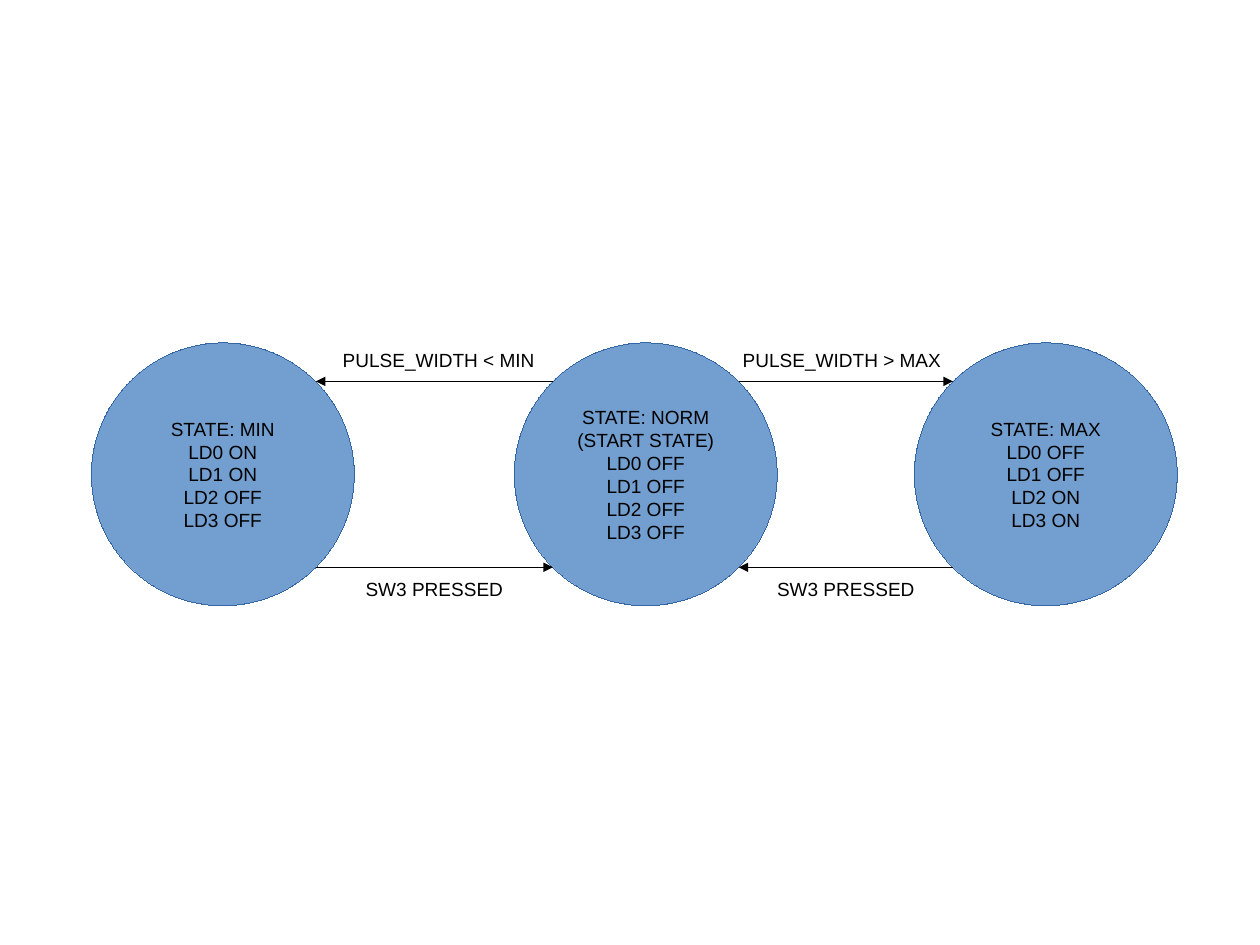
import math

from lxml import etree
from pptx import Presentation
from pptx.dml.color import RGBColor
from pptx.enum.shapes import MSO_CONNECTOR, MSO_SHAPE
from pptx.enum.text import MSO_ANCHOR, MSO_AUTO_SIZE, PP_ALIGN
from pptx.oxml.ns import qn
from pptx.util import Inches, Pt

STRAIGHT = MSO_CONNECTOR.STRAIGHT
ELLIPSE = MSO_SHAPE.OVAL
MIDDLE = MSO_ANCHOR.MIDDLE
FIT_SHAPE = MSO_AUTO_SIZE.SHAPE_TO_FIT_TEXT
LEFT, CENTER = PP_ALIGN.LEFT, PP_ALIGN.CENTER

PAGE_WIDTH, PAGE_HEIGHT = 28 / 2.54, 21 / 2.54
DIAMETER = 2.3
STATE_TOP = 3
MIN_LEFT, NORM_LEFT, MAX_LEFT = 0.8, 4.5, 8
CORNER = DIAMETER / 2 * (1 - math.sqrt(0.5))
UPPER = STATE_TOP + CORNER
LOWER = STATE_TOP + DIAMETER - CORNER

STATES = [
    (MIN_LEFT, ["STATE: MIN", "LD0 ON", "LD1 ON", "LD2 OFF", "LD3 OFF"]),
    (NORM_LEFT, ["STATE: NORM", "(START STATE)", "LD0 OFF", "LD1 OFF", "LD2 OFF", "LD3 OFF"]),
    (MAX_LEFT, ["STATE: MAX", "LD0 OFF", "LD1 OFF", "LD2 ON", "LD3 ON"]),
]
TRANSITIONS = [
    (NORM_LEFT, MIN_LEFT, UPPER),
    (NORM_LEFT, MAX_LEFT, UPPER),
    (MAX_LEFT, NORM_LEFT, LOWER),
    (MIN_LEFT, NORM_LEFT, LOWER),
]
LABELS = [
    ("PULSE_WIDTH < MIN", 2.9, 3, 2.8),
    ("PULSE_WIDTH > MAX", 6.4, 3, 3.1),
    ("SW3 PRESSED", 6.7, 5, 3.1),
    ("SW3 PRESSED", 3.1, 5, 3.1),
]


def color(value):
    return RGBColor.from_string(value)


def draw_hairline(shape, value):
    shape.line.color.rgb = color(value)
    outline = shape._element.spPr.find(qn("a:ln"))
    outline.set("w", "0")
    return outline


def write_lines(text_frame, lines, alignment):
    text_frame.text = "\n".join(lines)
    for paragraph in text_frame.paragraphs:
        paragraph.alignment = alignment
        paragraph.font.name = "Arial"
        paragraph.font.size = Pt(12)
        paragraph.font.color.rgb = color("000000")


def add_state(slide, left, lines):
    shape = slide.shapes.add_shape(
        ELLIPSE, Inches(left), Inches(STATE_TOP), Inches(DIAMETER), Inches(DIAMETER)
    )
    shape.shadow.inherit = False
    shape.fill.solid()
    shape.fill.fore_color.rgb = color("729FCF")
    draw_hairline(shape, "3465A4")
    shape.text_frame.word_wrap = False
    shape.text_frame.vertical_anchor = MIDDLE
    write_lines(shape.text_frame, lines, CENTER)


def add_transition(slide, source_left, target_left, height):
    near, far = CORNER, DIAMETER - CORNER
    if source_left < target_left:
        start, end = source_left + far, target_left + near
    else:
        start, end = source_left + near, target_left + far
    connector = slide.shapes.add_connector(
        STRAIGHT, Inches(start), Inches(height), Inches(end), Inches(height)
    )
    outline = draw_hairline(connector, "000000")
    etree.SubElement(outline, qn("a:tailEnd"), type="triangle")
    etree.SubElement(connector._element.spPr, qn("a:effectLst"))


def add_label(slide, text, left, top, width):
    box = slide.shapes.add_textbox(Inches(left), Inches(top), Inches(width), Inches(0.7))
    box.text_frame.word_wrap = True
    box.text_frame.auto_size = FIT_SHAPE
    write_lines(box.text_frame, [text], LEFT)


def main():
    presentation = Presentation()
    presentation.slide_width = Inches(PAGE_WIDTH)
    presentation.slide_height = Inches(PAGE_HEIGHT)
    slide = presentation.slides.add_slide(presentation.slide_layouts[6])
    for state in STATES:
        add_state(slide, *state)
    for transition in TRANSITIONS:
        add_transition(slide, *transition)
    for label in LABELS:
        add_label(slide, *label)
    presentation.save("out.pptx")


if __name__ == "__main__":
    main()
